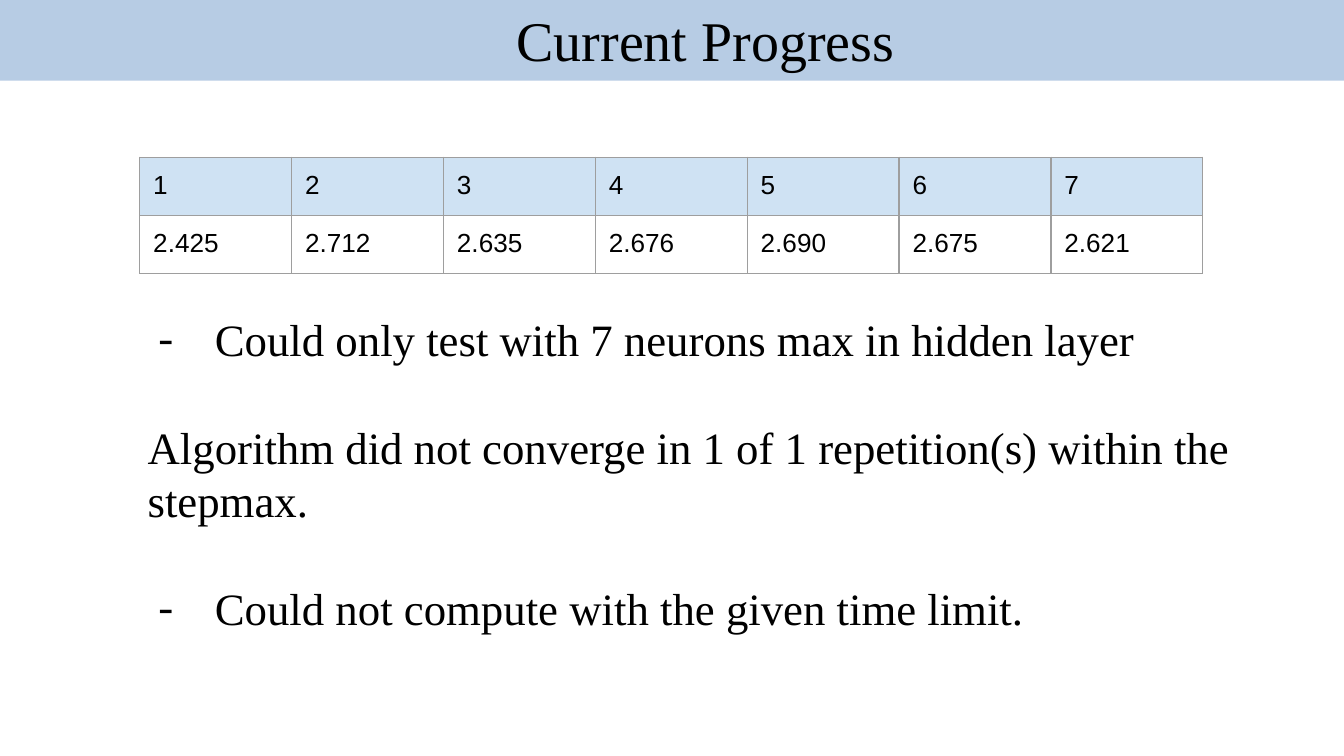
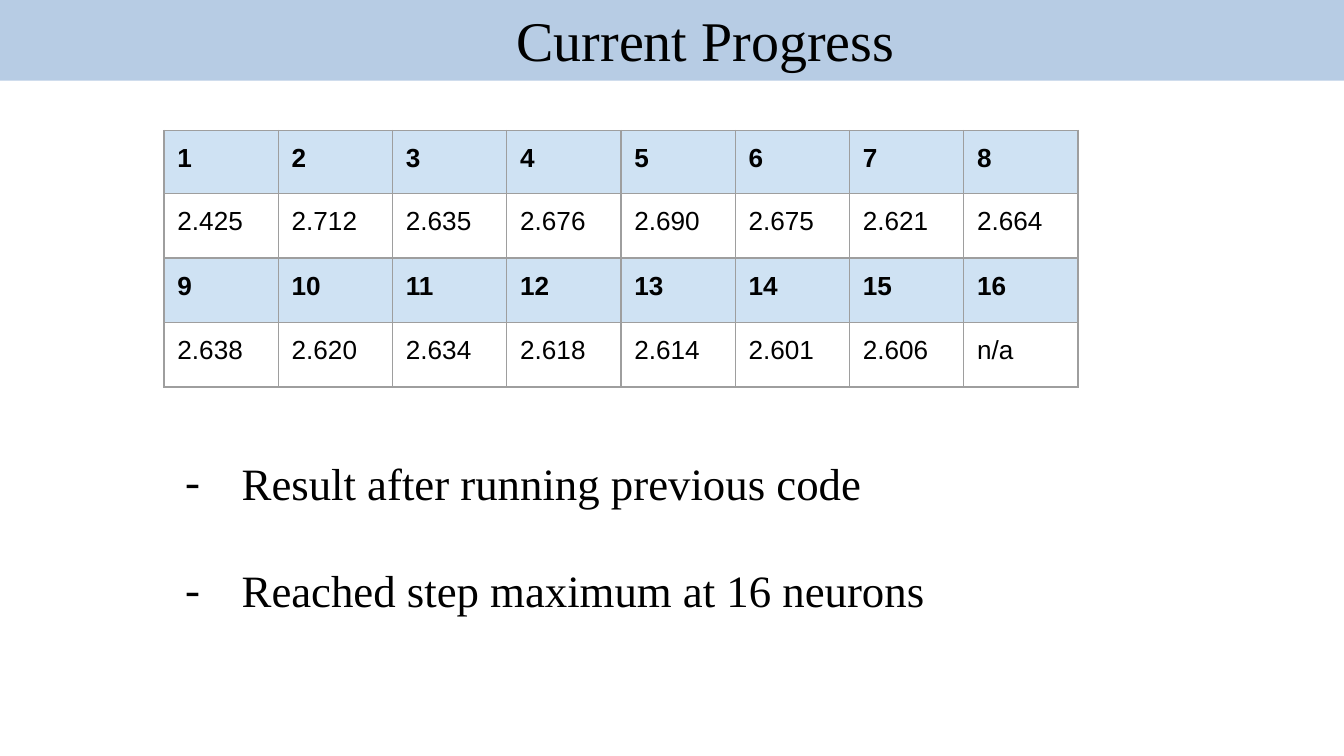
import pptx
import pptx.util
import pptx.dml.color
import pptx.enum.shapes
import pptx.enum.text
import pptx.oxml
import pptx.oxml.ns
from lxml import etree

Inches, Pt = pptx.util.Inches, pptx.util.Pt

COLORS = {"band": "B7CCE4", "head": "CFE2F3", "border": "9E9E9E", "text": "000000"}
SERIF, SANS = "Times New Roman", "Arial"
TITLE = "Current Progress"
LINE = 28.8  # height of one 24 pt line, in points
MARGIN = 0.1

# Content: notes are (text, bulleted); parts are drawn in the order given
SLIDES = [
    {
        "notes": {
            "at": (1, 1.02, 8.63, 4.24), "top": 1.3,
            "lines": [
                ("Could only test with 7 neurons max in hidden layer", True),
                ("Algorithm did not converge in 1 of 1 repetition(s) within the stepmax.", False),
                ("Could not compute with the given time limit.", True),
            ],
        },
        "table": {
            "at": (1.04, 1.17), "col": 1.13, "rows": [0.42, 0.42], "bold_heads": False,
            "data": [
                ["1", "2", "3", "4", "5", "6", "7"],
                ["2.425", "2.712", "2.635", "2.676", "2.690", "2.675", "2.621"],
            ],
        },
    },
    {
        "table": {
            "at": (1.22, 0.97), "col": 0.85, "rows": [0.47, 0.48, 0.48, 0.48],
            "bold_heads": True,
            "data": [
                ["1", "2", "3", "4", "5", "6", "7", "8"],
                ["2.425", "2.712", "2.635", "2.676", "2.690", "2.675", "2.621", "2.664"],
                ["9", "10", "11", "12", "13", "14", "15", "16"],
                ["2.638", "2.620", "2.634", "2.618", "2.614", "2.601", "2.606", "n/a"],
            ],
        },
        "notes": {
            "at": (1.2, 3.29, 6.86, 1.41), "top": MARGIN,
            "lines": [
                ("Result after running previous code", True),
                ("Reached step maximum at 16 neurons", True),
            ],
        },
    },
]


def rgb(name):
    return pptx.dml.color.RGBColor.from_string(COLORS[name])


def set_font(p, name, size, bold=False):
    p.font.name, p.font.size, p.font.bold = name, Pt(size), bold
    p.font.color.rgb = rgb("text")


def sub(parent, tag, **attrs):
    return etree.SubElement(parent, pptx.oxml.ns.qn(tag), **attrs)


def set_margins(obj, top=MARGIN):
    obj.margin_left = obj.margin_right = obj.margin_bottom = Inches(MARGIN)
    obj.margin_top = Inches(top)


def indent(p, left, first=0):
    pPr = p._p.get_or_add_pPr()
    pPr.set("marL", str(Inches(left)))
    pPr.set("indent", str(Inches(first)))
    return pPr


# Title band
def add_band(s):
    sp = s.shapes.add_shape(pptx.enum.shapes.MSO_SHAPE.RECTANGLE,
                            Inches(0), Inches(-0.02), Inches(10), Inches(0.62))
    sp.shadow.inherit = False
    sp.fill.solid()
    sp.fill.fore_color.rgb = rgb("band")
    sp.line.fill.background()
    tf = sp.text_frame
    tf.vertical_anchor = pptx.enum.text.MSO_ANCHOR.MIDDLE
    p = tf.paragraphs[0]
    p.text = TITLE
    p.alignment = pptx.enum.text.PP_ALIGN.CENTER
    indent(p, 0.5)
    set_font(p, SERIF, 30)


# Notes, one empty line's height apart
def add_notes(s, at, top, lines):
    tf = s.shapes.add_textbox(*map(Inches, at)).text_frame
    tf.word_wrap = True
    tf.auto_size = pptx.enum.text.MSO_AUTO_SIZE.SHAPE_TO_FIT_TEXT
    set_margins(tf, top)
    for i, (text, bulleted) in enumerate(lines):
        p = tf.add_paragraph() if i else tf.paragraphs[0]
        p.text = text
        if i:
            p.space_before = Pt(LINE)
        if bulleted:
            pPr = indent(p, 0.5, -0.42)
            sub(sub(pPr, "a:buClr"), "a:srgbClr", val=COLORS["text"])
            sub(pPr, "a:buSzPts", val="2400")
            sub(pPr, "a:buFont", typeface=SERIF)
            sub(pPr, "a:buChar", char="-")
        set_font(p, SERIF, 24)


# Table of results
def add_borders(cell):
    tcPr = cell._tc.get_or_add_tcPr()
    for i, side in enumerate(("a:lnL", "a:lnR", "a:lnT", "a:lnB")):
        ln = etree.Element(pptx.oxml.ns.qn(side), w=str(Pt(0.75)))
        sub(sub(ln, "a:solidFill"), "a:srgbClr", val=COLORS["border"])
        tcPr.insert(i, ln)


def add_grid(s, at, col, rows, bold_heads, data):
    n = len(data[0])
    table = s.shapes.add_table(len(data), n, *map(Inches, at),
                               Inches(col * n), Inches(sum(rows))).table
    table.first_row = table.horz_banding = False
    for column in table.columns:
        column.width = Inches(col)
    for r, values in enumerate(data):
        table.rows[r].height = Inches(rows[r])
        head = r % 2 == 0  # headings and values alternate
        for c, value in enumerate(values):
            cell = table.cell(r, c)
            set_margins(cell)
            if head:
                cell.fill.solid()
                cell.fill.fore_color.rgb = rgb("head")
            else:
                cell.fill.background()
            add_borders(cell)
            p = cell.text_frame.paragraphs[0]
            p.text = value
            set_font(p, SANS, 14, head and bold_heads)


def main():
    prs = pptx.Presentation()
    prs.slide_width, prs.slide_height = Inches(10), Inches(10 * 9 / 16)
    draw = {"notes": add_notes, "table": add_grid}
    for parts in SLIDES:
        s = prs.slides.add_slide(prs.slide_layouts[6])
        add_band(s)
        for kind, part in parts.items():
            draw[kind](s, **part)
    prs.save("out.pptx")


if __name__ == "__main__":
    main()
